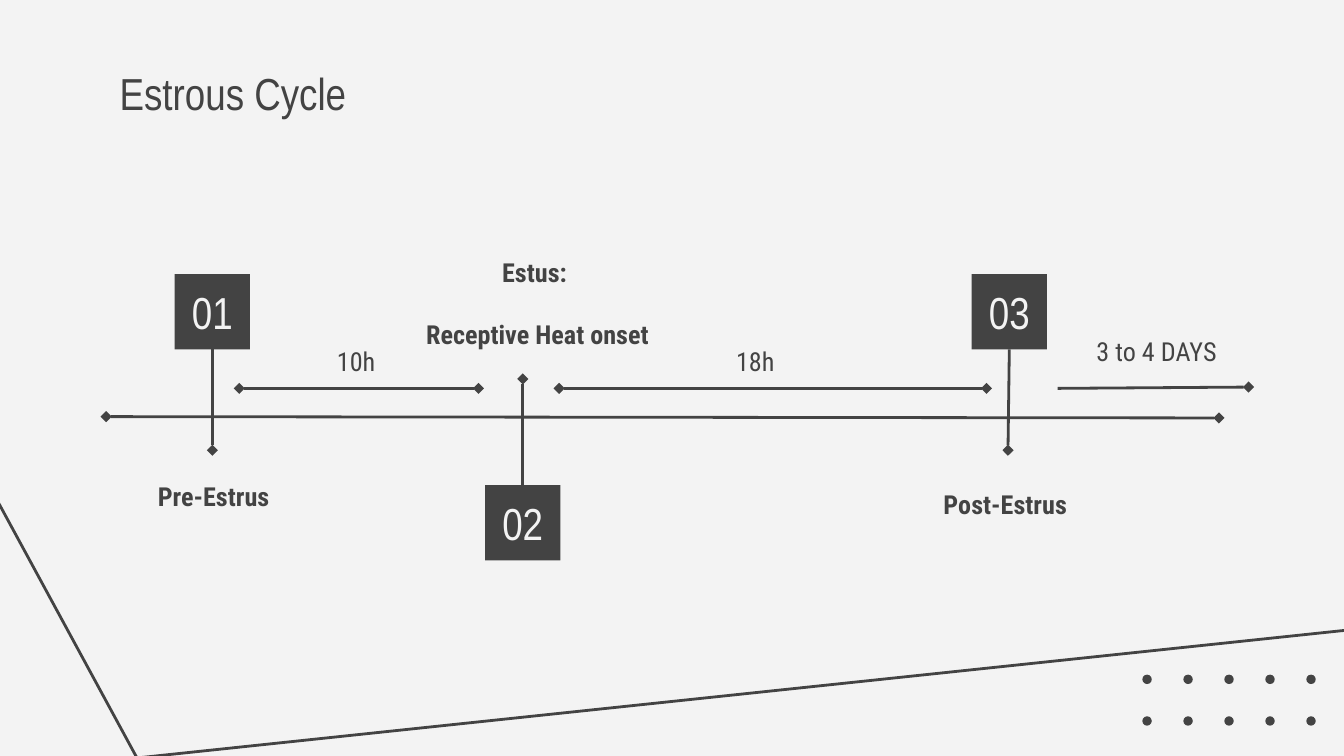
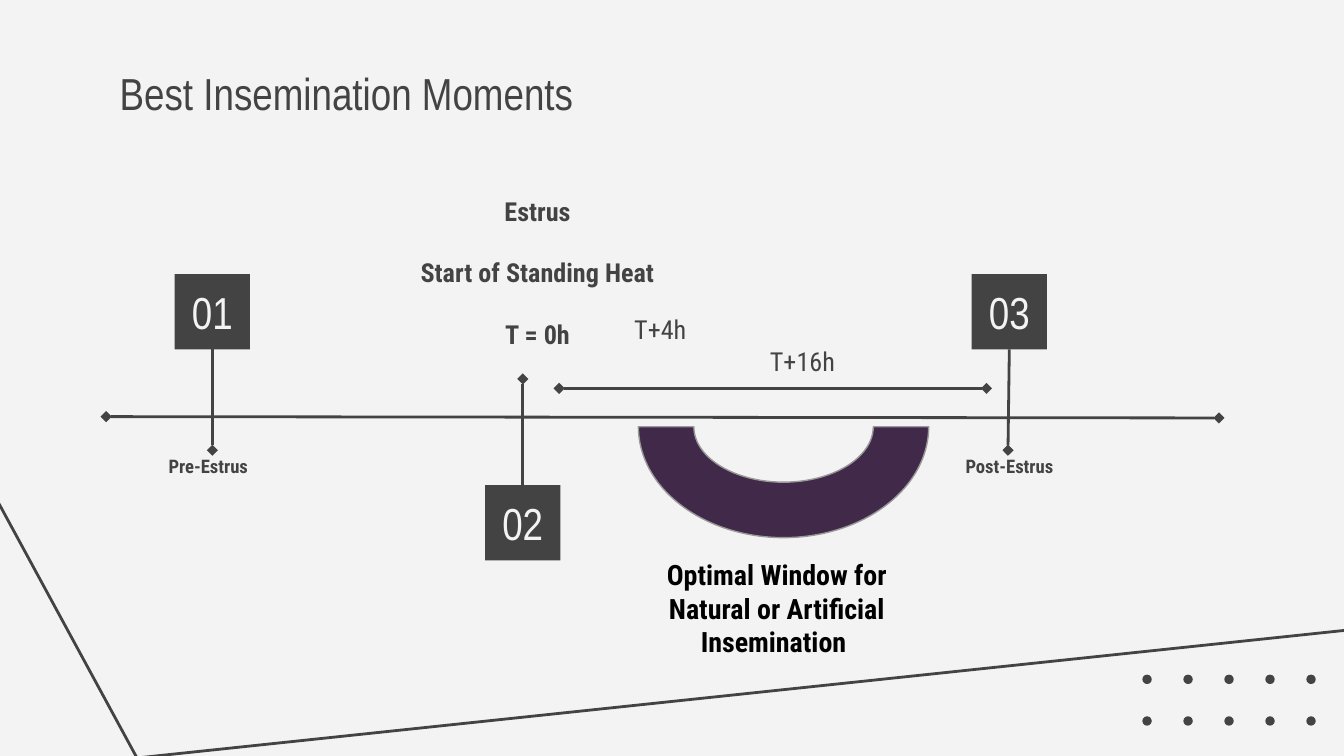
from itertools import product

from lxml.etree import SubElement
from pptx import Presentation
from pptx.dml.color import RGBColor
from pptx.enum.shapes import MSO_CONNECTOR, MSO_SHAPE
from pptx.enum.text import MSO_ANCHOR, PP_ALIGN
from pptx.oxml.ns import qn
from pptx.util import Inches, Pt

COLORS = {
    "background": "F3F3F3",
    "dark": "434343",
    "window": "41294A",
    "outline": "999999",
    "black": "000000",
}
TITLE_FONT = "Arial Narrow"
LABEL_FONT = "Roboto Condensed"
TITLE_ONLY_LAYOUT = 5
TOP, BOTTOM = 0, 2


def color(name):
    return RGBColor.from_string(COLORS[name])


def place(shape, left, top, width, height):
    shape.left, shape.top = Inches(left), Inches(top)
    shape.width, shape.height = Inches(width), Inches(height)


def format_runs(paragraph, font_name, size, color_name, bold=False):
    for span in paragraph.runs:
        span.font.name = font_name
        span.font.size = Pt(size)
        span.font.bold = bold
        span.font.color.rgb = color(color_name)


def set_margins(frame, top=0.1, bottom=0.1):
    frame.margin_left = frame.margin_right = Inches(0.1)
    frame.margin_top, frame.margin_bottom = Inches(top), Inches(bottom)


def add_filled_shape(slide, kind, left, top, width, height, fill="dark"):
    shape = slide.shapes.add_shape(
        kind, Inches(left), Inches(top), Inches(width), Inches(height))
    shape.shadow.inherit = False
    shape.fill.solid()
    shape.fill.fore_color.rgb = color(fill)
    shape.line.fill.background()
    return shape


def add_line(slide, start, end, diamonds=()):
    """Draw a line with diamonds at the named ends, "headEnd" or "tailEnd"."""
    line = slide.shapes.add_connector(
        MSO_CONNECTOR.STRAIGHT, *(Inches(value) for value in start + end))
    line.line.width = Pt(1.5)
    line.line.color.rgb = color("dark")
    properties = line._element.spPr
    for end_name in diamonds:
        SubElement(properties.find(qn("a:ln")), qn(f"a:{end_name}"), type="diamond")
    SubElement(properties, qn("a:effectLst"))
    return line


def add_label(slide, lines, left, top, width, height, size=14, bold=False,
              color_name="dark", align=PP_ALIGN.CENTER, anchor=MSO_ANCHOR.TOP,
              margin_top=0.1, margin_bottom=0.1, gap=16):
    box = slide.shapes.add_textbox(
        Inches(left), Inches(top), Inches(width), Inches(height))
    frame = box.text_frame
    frame.word_wrap = True
    frame.vertical_anchor = anchor
    set_margins(frame, margin_top, margin_bottom)
    frame.text = "\n".join(lines)
    for index, paragraph in enumerate(frame.paragraphs):
        paragraph.alignment = align
        if index:
            paragraph.space_before = Pt(gap)
        format_runs(paragraph, LABEL_FONT, size, color_name, bold)
    return box


def add_stage_name(slide, text, left, top, width=2.94, height=1.2, size=14,
                   margin_top=0.31):
    add_label(slide, [text], left, top, width, height, size, bold=True,
              margin_top=margin_top)


def add_onset_label(slide, lines):
    add_label(slide, lines, 2.53, 1.4, 2.94, 1.2, bold=True,
              anchor=MSO_ANCHOR.BOTTOM, margin_bottom=0)


def add_time_label(slide, lines, left, top=2.2, width=1.58, align=PP_ALIGN.CENTER):
    return add_label(slide, lines, left, top, width, 0.6, align=align,
                     anchor=MSO_ANCHOR.BOTTOM, margin_bottom=0, gap=0)


def add_span(slide, left, right):
    add_line(slide, (left, 2.89), (right, 2.89), ("headEnd", "tailEnd"))


def add_stage(slide, number, left, top, side, stem_end):
    """Draw a numbered square with a stem from one side across the timeline."""
    square = add_filled_shape(slide, MSO_SHAPE.RECTANGLE, left, top, 0.56, 0.56)
    frame = square.text_frame
    set_margins(frame)
    frame.vertical_anchor = MSO_ANCHOR.MIDDLE
    frame.text = number
    paragraph = frame.paragraphs[0]
    paragraph.alignment = PP_ALIGN.CENTER
    format_runs(paragraph, TITLE_FONT, 24, "background")
    stem = add_line(slide, (left + 0.28, top), stem_end, ["tailEnd"])
    stem.begin_connect(square, side)


def add_timeline(slide):
    add_line(slide, (0.79, 3.1), (9.07, 3.11), ("headEnd", "tailEnd"))
    add_stage(slide, "01", 1.3, 2.04, BOTTOM, (1.58, 3.35))
    add_stage(slide, "02", 3.61, 3.61, TOP, (3.89, 2.82))
    add_stage(slide, "03", 7.23, 2.04, BOTTOM, (7.5, 3.35))
    add_span(slide, 4.16, 7.34)


def add_decoration(slide):
    for row, column in product(range(2), range(5)):
        add_filled_shape(slide, MSO_SHAPE.OVAL, 8.5 + column * 1.22 / 4,
                         5.02 + row * 0.31, 0.07, 0.07)
    corners = [(Inches(x), Inches(y))
               for x, y in ((-0.12, 3.54), (1.02, 5.64), (10.11, 4.68))]
    builder = slide.shapes.build_freeform(*corners[0])
    builder.add_line_segments(corners[1:], close=False)
    edge = builder.convert_to_shape()
    edge.shadow.inherit = False
    edge.fill.background()
    edge.line.color.rgb = color("dark")
    edge.line.width = Pt(1.5)


def add_timeline_slide(deck, title_text, title_width):
    slide = deck.slides.add_slide(deck.slide_layouts[TITLE_ONLY_LAYOUT])
    add_decoration(slide)
    title = slide.shapes.title
    place(title, 0.79, 0.39, title_width, 0.91)
    frame = title.text_frame
    set_margins(frame)
    frame.vertical_anchor = MSO_ANCHOR.TOP
    frame.text = title_text
    frame.paragraphs[0].alignment = PP_ALIGN.LEFT
    format_runs(frame.paragraphs[0], TITLE_FONT, 24, "dark")
    add_timeline(slide)
    return slide


def add_cycle_slide(deck):
    slide = add_timeline_slide(deck, "Estrous Cycle", 3.52)
    add_stage_name(slide, "Pre-Estrus", 0.12, 3.35)
    add_onset_label(slide, ["Estus: ", "Receptive Heat onset"])
    add_stage_name(slide, "Post-Estrus", 6.01, 3.41)
    add_span(slide, 1.78, 3.56)
    add_time_label(slide, ["10h"], 1.86)
    add_time_label(slide, ["18h"], 4.83)
    add_line(slide, (9.29, 2.88), (7.87, 2.89), ["headEnd"])
    add_time_label(slide, ["3 to 4 DAYS"], 8.06, 2.13, align=PP_ALIGN.LEFT)


def add_insemination_slide(deck):
    slide = add_timeline_slide(deck, "Best Insemination Moments", 4.64)
    add_onset_label(slide, ["Estrus", "Start of Standing Heat", "T = 0h"])
    times = add_time_label(slide, ["T+4h", "T+16h"], 4.62, width=2.48,
                           align=PP_ALIGN.LEFT)
    last_time = times.text_frame.paragraphs[-1]
    last_time._p.get_or_add_pPr().set("marL", str(Inches(1.01)))
    add_stage_name(slide, "Pre-Estrus", 0.08, 3.18, size=10, margin_top=0.34)
    add_stage_name(slide, "Post-Estrus", 6.8, 3.18, 1.42, 0.79, 10, 0.34)
    window = add_filled_shape(slide, MSO_SHAPE.BLOCK_ARC, 4.75, 2.35, 2.16, 1.65,
                              "window")
    window.rotation = 180
    window.line.color.rgb = color("outline")
    window.line.width = Pt(0.75)
    add_label(slide, ["Optimal Window for Natural or Artificial Insemination "],
              4.54, 4.05, 2.48, 0.96, size=15, bold=True, color_name="black")


def main():
    deck = Presentation()
    deck.slide_width = Inches(10)
    deck.slide_height = deck.slide_width * 9 // 16
    background = deck.slide_master.background.fill
    background.solid()
    background.fore_color.rgb = color("background")
    add_cycle_slide(deck)
    add_insemination_slide(deck)
    deck.save("out.pptx")


if __name__ == "__main__":
    main()
